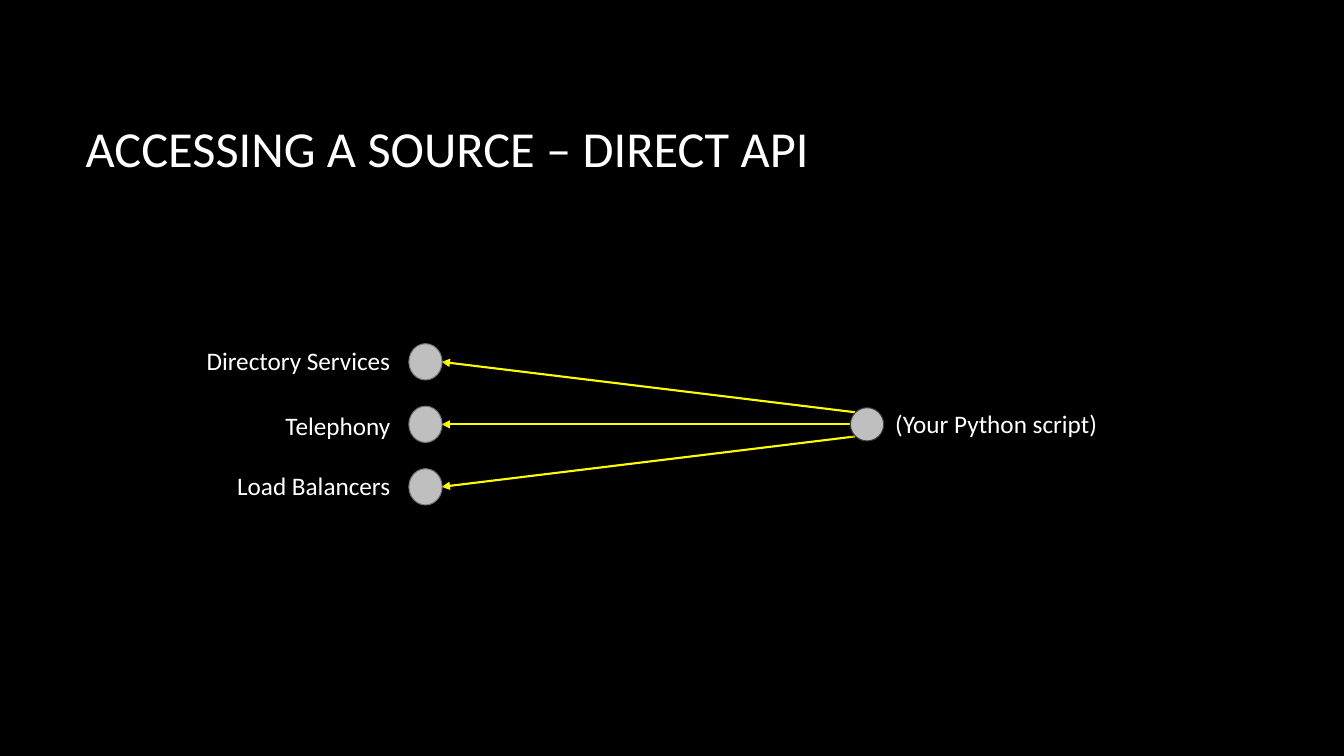
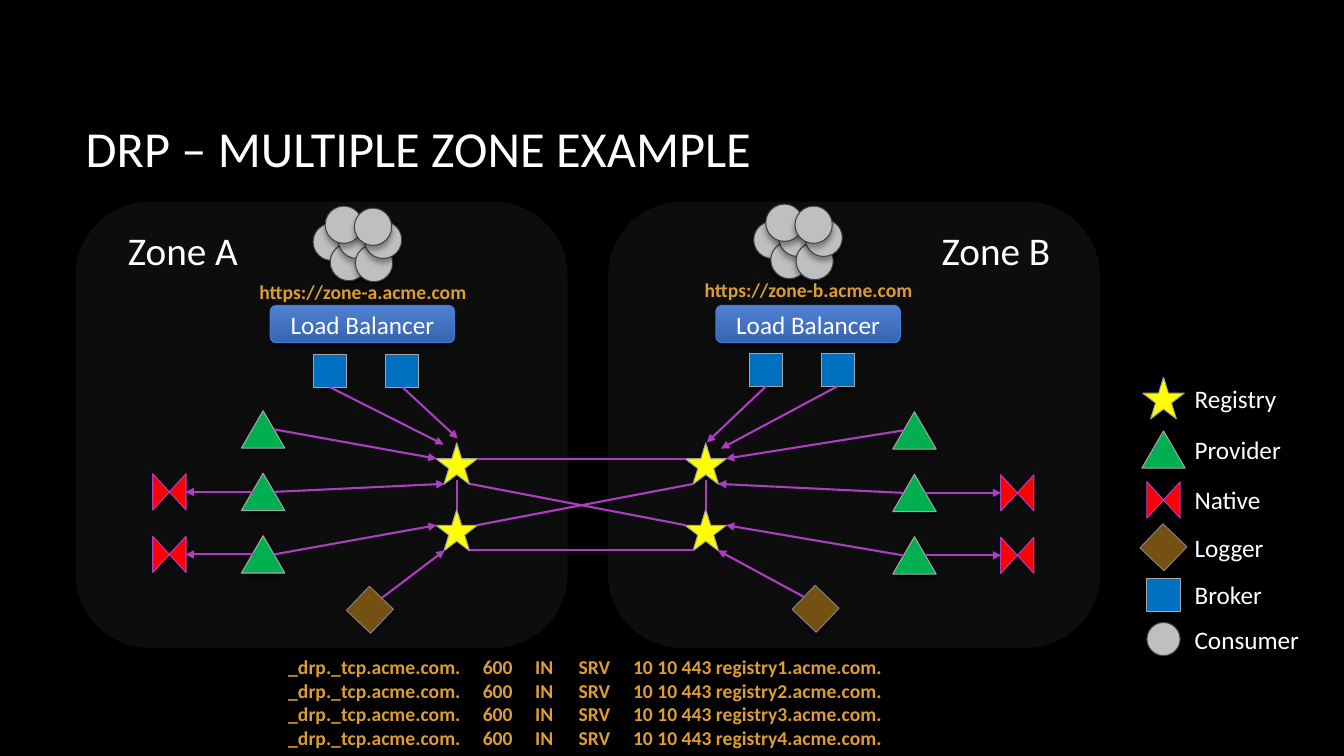
"""Build two slides on direct source access and a multiple zone service mesh."""
from dataclasses import dataclass

import lxml.etree
import pptx
import pptx.dml.color
import pptx.enum.shapes
import pptx.enum.text
import pptx.oxml.ns
import pptx.presentation
import pptx.shapes.autoshape
import pptx.slide
import pptx.text.text
import pptx.util
from pptx.util import Inches

SHAPES = pptx.enum.shapes.MSO_SHAPE
ALIGN = pptx.enum.text.PP_ALIGN
ANCHOR = pptx.enum.text.MSO_ANCHOR
qn = pptx.oxml.ns.qn

FONT = "Calibri"
COLORS = {
    "background": "000000", "text": "FFFFFF", "address": "DD9D31",
    "panel": "0D0D0D", "call": "FFFF00", "link": "AC3EC1",
    "registry": "FFFF00", "provider": "00B050", "native": "FF0000",
    "logger": "745013", "broker": "0070C0", "consumer": "BFBFBF",
    "outline": "A6A6A6", "logger_outline": "808080",
    "consumer_outline": "404040", "source_outline": "767676",
    "balancer_top": "5180D2", "balancer_bottom": "3665B3",
    "balancer_outline": "477BD1", "shadow": "000000",
}

Point = tuple[float, float]


@dataclass(frozen=True)
class Symbol:
    geometry: pptx.enum.shapes.MSO_SHAPE
    width: float
    height: float
    fill: str
    outline: str = "outline"
    rotation: float = 0


@dataclass(frozen=True)
class Label:
    text: str
    left: float
    top: float
    width: float
    height: float = 0.4
    size: float = 18
    align: pptx.enum.text.PP_ALIGN = ALIGN.LEFT
    color: str = "text"
    bold: bool = False
    anchor: pptx.enum.text.MSO_ANCHOR = ANCHOR.TOP


@dataclass(frozen=True)
class Zone:
    name: str
    url: str
    side: int
    panel_left: float
    name_left: float
    url_position: Point
    balancer_left: float
    crowd: Point
    brokers: tuple[Point, Point]
    broker_targets: tuple[Point, Point]
    provider: Point
    native_x: float
    logger: Point
    registry_x: float


SYMBOLS = {
    "Registry": Symbol(SHAPES.STAR_5_POINT, 0.41, 0.41, "registry"),
    "Provider": Symbol(SHAPES.ISOSCELES_TRIANGLE, 0.43, 0.37, "provider"),
    "Native": Symbol(SHAPES.FLOWCHART_COLLATE, 0.36, 0.33, "native", "link", 90),
    "Logger": Symbol(SHAPES.RECTANGLE, 0.33, 0.33, "logger", "logger_outline", 313.7),
    "Broker": Symbol(SHAPES.RECTANGLE, 0.33, 0.33, "broker"),
    "Consumer": Symbol(SHAPES.OVAL, 0.33, 0.33, "consumer", "consumer_outline"),
}
SOURCE = Symbol(SHAPES.OVAL, 0.36, 0.33, "consumer", "source_outline", 90)
CROWD_MEMBER = Symbol(SHAPES.OVAL, 0.37, 0.37, "consumer", "consumer_outline")
CROWD_OFFSETS = ((0, 0.17), (0.17, 0.37), (0.25, 0.15), (0.42, 0.38),
                 (0.51, 0.15), (0.12, 0), (0.41, 0.02))
LEGEND_TOPS = (3.75, 4.26, 4.76, 5.23, 5.7, 6.14)
ROW_PITCH = 0.62
REGISTRY_ROWS = (4.6, 5.26)
PROVIDER_TARGETS = ((0.2, 4.55), (0.12, 4.8), (0.2, 5.21))

ZONES = (
    Zone("Zone A", "https://zone-a.acme.com", 1, 0.75, 1.17, (2.42, 2.7), 2.68,
         (3.29, 2.23), ((3.27, 3.68), (3.99, 3.68)), ((4.4, 4.41), (4.54, 4.35)),
         (2.61, 4.26), 1.68, (3.67, 6.05), 4.53),
    Zone("Zone B", "https://zone-b.acme.com", -1, 6.03, 9.24, (6.84, 2.68), 7.1,
         (7.66, 2.21), ((7.6, 3.67), (8.31, 3.67)), ((7.01, 4.39), (7.15, 4.45)),
         (9.07, 4.27), 10.09, (8.09, 6.04), 7),
)
REGISTRY_LINKS = (
    ((6.8, 4.55), (4.74, 4.55)), ((4.66, 5.46), (6.88, 5.46)),
    ((6.88, 4.8), (4.73, 5.21)), ((4.66, 4.8), (6.8, 5.21)),
    ((4.53, 4.76), (4.53, 5.05)), ((7, 4.76), (7, 5.05)),
)


def rgb(name: str) -> pptx.dml.color.RGBColor:
    """Return the named colour."""
    return pptx.dml.color.RGBColor.from_string(COLORS[name])


def format_text(paragraph: pptx.text.text._Paragraph, size: float,
                color: str = "text", bold: bool = False) -> None:
    """Format every run of a paragraph."""
    for run in paragraph.runs:
        run.font.name = FONT
        run.font.size = pptx.util.Pt(size)
        run.font.bold = bold
        run.font.color.rgb = rgb(color)


def add_shadow(shape: pptx.shapes.autoshape.Shape) -> None:
    """Give a shape a soft shadow below it."""
    shape.shadow.inherit = False
    effects = shape._element.spPr.find(qn("a:effectLst"))
    shadow = lxml.etree.SubElement(
        effects, qn("a:outerShdw"), blurRad="50800", dist="38100", dir="5400000",
        rotWithShape="0")
    color = lxml.etree.SubElement(shadow, qn("a:srgbClr"), val=COLORS["shadow"])
    lxml.etree.SubElement(color, qn("a:alpha"), val="35000")


def add_symbol(slide: pptx.slide.Slide, symbol: Symbol, center: Point) -> None:
    """Draw a symbol around its centre."""
    shape = slide.shapes.add_shape(
        symbol.geometry, Inches(center[0] - symbol.width / 2),
        Inches(center[1] - symbol.height / 2), Inches(symbol.width),
        Inches(symbol.height))
    shape.rotation = symbol.rotation
    shape.fill.solid()
    shape.fill.fore_color.rgb = rgb(symbol.fill)
    shape.line.color.rgb = rgb(symbol.outline)
    shape.line.width = pptx.util.Pt(0.75)
    add_shadow(shape)


def add_label(slide: pptx.slide.Slide, label: Label) -> pptx.shapes.autoshape.Shape:
    """Draw a text box and return it."""
    box = slide.shapes.add_textbox(Inches(label.left), Inches(label.top),
                                   Inches(label.width), Inches(label.height))
    box.text_frame.word_wrap = True
    box.text_frame.vertical_anchor = label.anchor
    box.text_frame.text = label.text
    for paragraph in box.text_frame.paragraphs:
        paragraph.alignment = label.align
        format_text(paragraph, label.size, label.color, label.bold)
    return box


def add_line(slide: pptx.slide.Slide, start: Point, end: Point, color: str,
             arrow: bool = True) -> None:
    """Draw a straight line, with an arrowhead at its end if wanted."""
    connector = slide.shapes.add_connector(
        pptx.enum.shapes.MSO_CONNECTOR.STRAIGHT, Inches(start[0]), Inches(start[1]),
        Inches(end[0]), Inches(end[1]))
    connector.line.color.rgb = rgb(color)
    connector.line.width = pptx.util.Pt(1.5)
    properties = connector._element.spPr
    if arrow:
        lxml.etree.SubElement(properties.find(qn("a:ln")), qn("a:tailEnd"),
                              type="triangle")
    lxml.etree.SubElement(properties, qn("a:effectLst"))


def add_titled_slide(presentation: pptx.presentation.Presentation,
                     title: str) -> pptx.slide.Slide:
    """Add a title-only slide with the shared title style."""
    slide = presentation.slides.add_slide(presentation.slide_layouts[5])
    shape = slide.shapes.title
    shape.left, shape.top = Inches(0.75), Inches(0.67)
    shape.width, shape.height = Inches(11.08), Inches(1.59)
    shape.text_frame.text = title
    shape.text_frame.vertical_anchor = ANCHOR.MIDDLE
    shape.text_frame.paragraphs[0].alignment = ALIGN.LEFT
    format_text(shape.text_frame.paragraphs[0], 36)
    return slide


def add_panel(slide: pptx.slide.Slide, left: float) -> None:
    """Draw the dark panel behind a zone."""
    panel = slide.shapes.add_shape(SHAPES.ROUNDED_RECTANGLE, Inches(left), Inches(2),
                                   Inches(4.88), Inches(4.43))
    panel.shadow.inherit = False
    panel.fill.solid()
    panel.fill.fore_color.rgb = rgb("panel")
    panel.line.fill.background()


def add_balancer(slide: pptx.slide.Slide, left: float) -> None:
    """Draw a load balancer bar."""
    bar = slide.shapes.add_shape(SHAPES.ROUNDED_RECTANGLE, Inches(left), Inches(3.03),
                                 Inches(1.83), Inches(0.37))
    bar.fill.gradient()
    bar.fill.gradient_angle = 270
    for stop, color in zip(bar.fill.gradient_stops, ("balancer_top", "balancer_bottom")):
        stop.color.rgb = rgb(color)
    bar.line.color.rgb = rgb("balancer_outline")
    bar.line.width = pptx.util.Pt(0.75)
    add_shadow(bar)
    bar.text_frame.text = "Load Balancer"
    bar.text_frame.vertical_anchor = ANCHOR.MIDDLE
    bar.text_frame.paragraphs[0].alignment = ALIGN.CENTER
    format_text(bar.text_frame.paragraphs[0], 18)


def add_zone(slide: pptx.slide.Slide, zone: Zone) -> None:
    """Draw the contents of one zone."""
    side, registry_x = zone.side, zone.registry_x
    for y in REGISTRY_ROWS:
        add_symbol(slide, SYMBOLS["Registry"], (registry_x, y))
    provider_x, first_y = zone.provider
    for row, (inset, target_y) in enumerate(PROVIDER_TARGETS):
        y = first_y + row * ROW_PITCH
        add_symbol(slide, SYMBOLS["Provider"], (provider_x, y))
        add_line(slide, (provider_x + side * 0.11, y),
                 (registry_x - side * inset, target_y), "link")
        if row:
            add_symbol(slide, SYMBOLS["Native"], (zone.native_x, y))
            add_line(slide, (provider_x - side * 0.1, y),
                     (zone.native_x + side * 0.16, y), "link")
    logger_x, logger_y = zone.logger
    add_symbol(slide, SYMBOLS["Logger"], zone.logger)
    add_line(slide, (logger_x + side * 0.12, logger_y - 0.12),
             (registry_x - side * 0.12, 5.46), "link")
    for broker, target in zip(zone.brokers, zone.broker_targets):
        add_symbol(slide, SYMBOLS["Broker"], broker)
        add_line(slide, (broker[0], broker[1] + 0.16), target, "link")
    for x, y in CROWD_OFFSETS:
        add_symbol(slide, CROWD_MEMBER, (zone.crowd[0] + x, zone.crowd[1] + y))
    add_label(slide, Label(zone.name, zone.name_left, 2.2, 1.45, 0.57, 28))
    add_balancer(slide, zone.balancer_left)
    add_label(slide, Label(zone.url, *zone.url_position, 2.36, 0.39, 14, ALIGN.CENTER,
                           "address", True, ANCHOR.MIDDLE))


def add_records(slide: pptx.slide.Slide) -> None:
    """Draw the service records in tabbed columns."""
    records = "\n".join(
        f"_drp._tcp.acme.com.\t600\tIN\tSRV\t10 10 443 registry{number}.acme.com."
        for number in range(1, 5))
    box = add_label(slide, Label(records, 2.76, 6.48, 6.18, 0.97, 14, ALIGN.LEFT,
                                 "address", True, ANCHOR.MIDDLE))
    for paragraph in box.text_frame.paragraphs:
        tabs = lxml.etree.SubElement(paragraph._p.get_or_add_pPr(), qn("a:tabLst"))
        for position in (1.93, 2.45, 2.88, 3.42):
            lxml.etree.SubElement(tabs, qn("a:tab"), pos=str(Inches(position)), algn="l")


def build_direct_slide(presentation: pptx.presentation.Presentation) -> None:
    """Show a script calling three sources directly."""
    slide = add_titled_slide(presentation, "ACCESSING A SOURCE – DIRECT API")
    sources = (("Directory Services", 3.38, (8.48, 4.09)), ("Telephony", 4.02, (8.44, 4.21)),
               ("Load Balancers", 4.62, (8.48, 4.33)))
    for row, (name, top, start) in enumerate(sources):
        y = 3.59 + row * ROW_PITCH
        add_line(slide, start, (4.38, y), "call")
        add_symbol(slide, SOURCE, (4.22, y))
        add_label(slide, Label(name, 1.94, top, 2.03, align=ALIGN.RIGHT))
    add_symbol(slide, SYMBOLS["Consumer"], (8.6, 4.21))
    add_label(slide, Label("(Your Python script)", 8.77, 4, 2.22, align=ALIGN.CENTER))


def build_zone_slide(presentation: pptx.presentation.Presentation) -> None:
    """Show two linked zones with a legend and service records."""
    slide = add_titled_slide(presentation, "DRP – MULTIPLE ZONE EXAMPLE")
    for zone in ZONES:
        add_panel(slide, zone.panel_left)
    for zone in ZONES:
        add_zone(slide, zone)
    for start, end in REGISTRY_LINKS:
        add_line(slide, start, end, "link", arrow=False)
    for (name, symbol), top in zip(SYMBOLS.items(), LEGEND_TOPS):
        add_symbol(slide, symbol, (11.54, top + 0.2))
        add_label(slide, Label(name, 11.75, top, 1.3))
    add_records(slide)


def main() -> None:
    """Build and save the presentation."""
    presentation = pptx.Presentation()
    presentation.slide_width, presentation.slide_height = Inches(13.33), Inches(7.5)
    background = presentation.slide_master.background.fill
    background.solid()
    background.fore_color.rgb = rgb("background")
    build_direct_slide(presentation)
    build_zone_slide(presentation)
    presentation.save("out.pptx")


if __name__ == "__main__":
    main()
